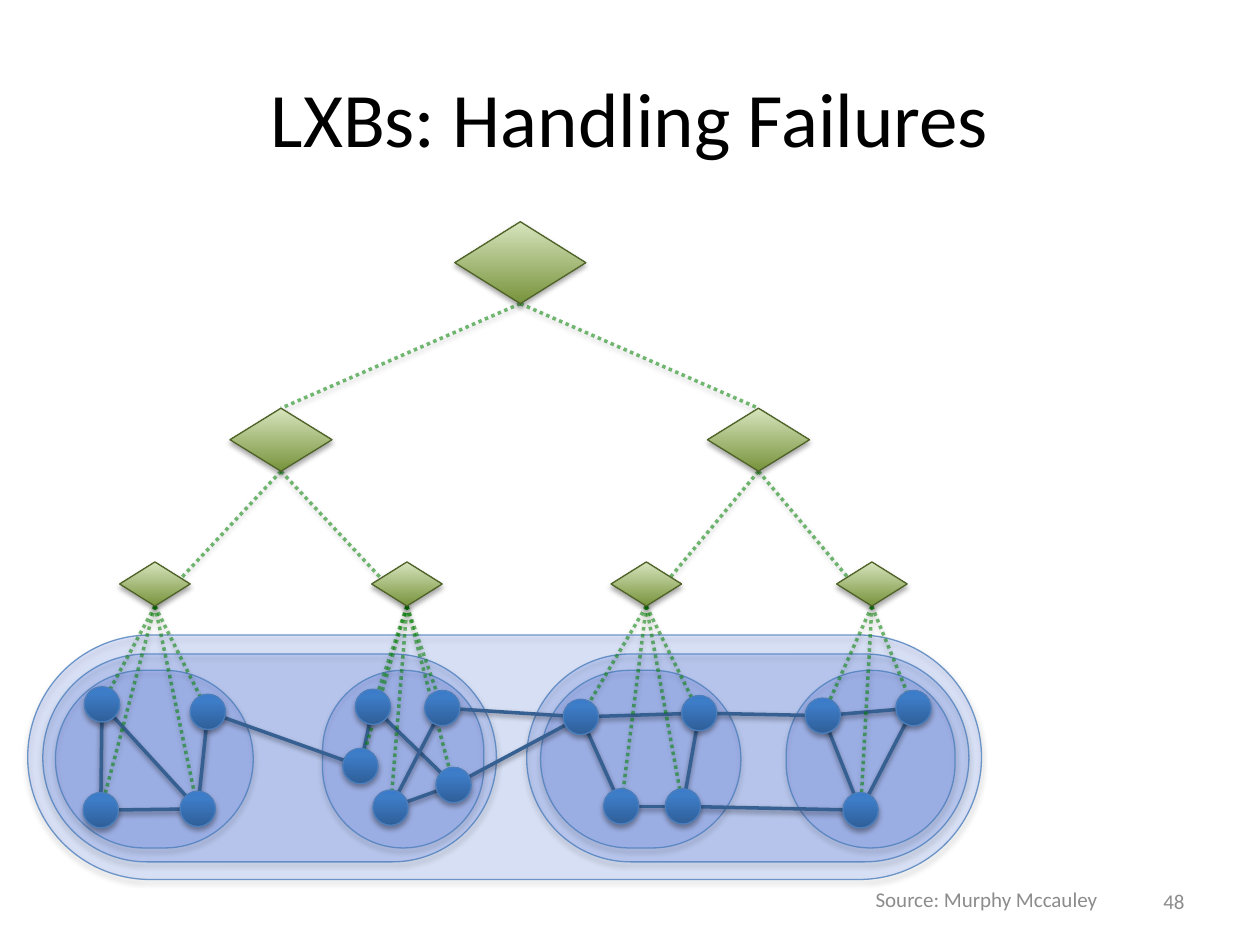
import copy

import lxml.etree
import pptx
import pptx.dml.color
import pptx.enum.dml
import pptx.enum.shapes
import pptx.enum.text
import pptx.oxml.ns
import pptx.util

Inches = pptx.util.Inches
Pt = pptx.util.Pt
RGBColor = pptx.dml.color.RGBColor
PP_ALIGN = pptx.enum.text.PP_ALIGN
MSO_SHAPE = pptx.enum.shapes.MSO_SHAPE
qn = pptx.oxml.ns.qn

BLACK = RGBColor(0x00, 0x00, 0x00)
GREY = RGBColor(0x8C, 0x8C, 0x8C)
REGION_FILL = RGBColor(0x33, 0x66, 0xFF)
BLUE_OUTLINE = RGBColor(0x4B, 0x7E, 0xBC)
MESH_LINE = RGBColor(0x37, 0x60, 0x92)
TREE_LINE = RGBColor(0x00, 0x80, 0x00)
GREEN_OUTLINE = RGBColor(0x4F, 0x62, 0x28)
GREEN_STOPS = [(0, RGBColor(0x77, 0x93, 0x3C)), (1, RGBColor(0xD7, 0xE4, 0xBD))]
NODE_STOPS = [(0, RGBColor(0x2F, 0x5F, 0x99)), (0.8, RGBColor(0x3D, 0x7C, 0xC7)),
              (1, RGBColor(0x3A, 0x7C, 0xCB))]

TOP, BOTTOM = 0, 2  # connection sites
NODE_SIZE = 0.28

# Left, top, width, height within the network box: whole, two domains, four clusters
REGIONS = [(0, 0, 7.57, 1.94), (0.12, 0.15, 3.6, 1.65), (3.96, 0.15, 3.51, 1.65),
           (0.22, 0.28, 1.57, 1.41), (2.34, 0.28, 1.28, 1.41),
           (4.07, 0.28, 1.59, 1.41), (6.02, 0.28, 1.34, 1.41)]
# Node centres within the network box; the letter names the cluster
NODES = {
    "A1": (0.59, 0.55), "A2": (1.43, 0.61), "A3": (0.58, 1.39), "A4": (1.35, 1.38),
    "B1": (2.74, 0.57), "B2": (3.29, 0.58), "B3": (2.64, 1.04), "B4": (2.88, 1.37),
    "B5": (3.38, 1.19),
    "C1": (4.39, 0.65), "C2": (5.33, 0.62), "C3": (4.71, 1.36), "C4": (5.2, 1.36),
    "D1": (6.31, 0.64), "D2": (7.03, 0.58), "D3": (6.61, 1.39),
}
MESH = ("A4-A2 A3-A4 A1-A3 A4-A1 A2-B3 B1-B3 B1-B5 B2-B4 B5-B4 B2-C1 B5-C1 "
        "C1-C3 C2-C4 C2-C1 C3-C4 C2-D1 D3-C4 D2-D1 D2-D3 D1-D3").split()
# Centre x and top within the tree box, then width and height
CONTROLLERS = {
    "root": (3.18, 0, 1.04, 0.65),
    "west": (1.28, 1.48, 0.81, 0.5), "east": (5.07, 1.48, 0.81, 0.5),
    "A": (0.28, 2.7, 0.56, 0.35), "B": (2.28, 2.7, 0.56, 0.35),
    "C": (4.18, 2.7, 0.56, 0.35), "D": (5.97, 2.7, 0.56, 0.35),
}
# Parent, child, site on the child
BRANCHES = [("root", "west", TOP), ("root", "east", TOP),
            ("west", "A", BOTTOM), ("west", "B", BOTTOM),
            ("east", "C", BOTTOM), ("east", "D", BOTTOM)]


def set_alpha(shape, steps, percent):
    """Make the colour under the given spPr children partly transparent."""
    element = shape.element.spPr
    for step in steps + ["a:solidFill", "a:srgbClr"]:
        element = element.find(qn(step))
    lxml.etree.SubElement(element, qn("a:alpha"), val=str(percent * 1000))


def add_shadow(shape, distance, percent):
    """Drop a soft black shadow below; call after fill and line are set."""
    effects = lxml.etree.SubElement(shape.element.spPr, qn("a:effectLst"))
    shadow = lxml.etree.SubElement(effects, qn("a:outerShdw"), blurRad=str(Pt(3.1)),
                                   dist=str(Pt(distance)), dir="5400000", rotWithShape="0")
    color = lxml.etree.SubElement(shadow, qn("a:srgbClr"), val=str(BLACK))
    lxml.etree.SubElement(color, qn("a:alpha"), val=str(percent * 1000))


def fill_gradient(shape, stops):
    """Fill upwards from the first stop to the last."""
    shape.fill.gradient()
    shape.fill.gradient_angle = 90
    stop_list = shape.element.spPr.find(qn("a:gradFill")).find(qn("a:gsLst"))
    for _ in stops[2:]:
        stop_list.append(copy.deepcopy(stop_list[-1]))
    for stop, (position, color) in zip(shape.fill.gradient_stops, stops):
        stop.position = position
        stop.color.rgb = color


def add_outlined(slide, kind, box, outline):
    shape = slide.shapes.add_shape(kind, *map(Inches, box))
    shape.line.color.rgb = outline
    shape.line.width = Pt(0.75)
    return shape


def add_link(group, start, end, color):
    link = group.shapes.add_connector(pptx.enum.shapes.MSO_CONNECTOR.STRAIGHT, *start, *end)
    link.line.color.rgb = color
    link.line.width = Pt(2)
    add_shadow(link, 1.6, 38)
    return link


def add_tree_link(group, start, end):
    link = add_link(group, start, end, TREE_LINE)
    link.line.dash_style = pptx.enum.dml.MSO_LINE.ROUND_DOT
    set_alpha(link, ["a:ln"], 54)
    return link


def site_point(shape, site):
    return shape.left + shape.width // 2, shape.top + (shape.height if site == BOTTOM else 0)


def center(shape):
    return shape.left + shape.width // 2, shape.top + shape.height // 2


def add_regions(slide, left, top):
    for x, y, width, height in REGIONS:
        region = add_outlined(slide, MSO_SHAPE.ROUNDED_RECTANGLE,
                              (left + x, top + y, width, height), BLUE_OUTLINE)
        region.adjustments[0] = 0.5
        region.fill.solid()
        region.fill.fore_color.rgb = REGION_FILL
        set_alpha(region, [], 14)
        set_alpha(region, ["a:ln"], 79)
        add_shadow(region, 1.8, 35)


def add_controllers(slide, left, top):
    controllers = {}
    for name, (x, y, width, height) in CONTROLLERS.items():
        diamond = add_outlined(slide, MSO_SHAPE.DIAMOND,
                               (left + x - width / 2, top + y, width, height), GREEN_OUTLINE)
        fill_gradient(diamond, GREEN_STOPS)
        add_shadow(diamond, 1.8, 35)
        controllers[name] = diamond
    return controllers


def add_nodes(slide, left, top):
    nodes = {}
    for name, (x, y) in NODES.items():
        box = (left + x - NODE_SIZE / 2, top + y - NODE_SIZE / 2, NODE_SIZE, NODE_SIZE)
        node = add_outlined(slide, MSO_SHAPE.ROUNDED_RECTANGLE, box, BLUE_OUTLINE)
        node.adjustments[0] = 0.5
        fill_gradient(node, NODE_STOPS)
        add_shadow(node, 1.8, 35)
        nodes[name] = node
    return nodes


def add_diagram(slide, tree_box, network_box):
    """Place the controller tree above the network; links lie behind their ends."""
    add_regions(slide, *network_box)
    mesh_group = slide.shapes.add_group_shape()
    tree_group = slide.shapes.add_group_shape()
    controllers = add_controllers(slide, *tree_box)
    nodes = add_nodes(slide, *network_box)

    for pair in MESH:
        first, second = pair.split("-")
        add_link(mesh_group, center(nodes[first]), center(nodes[second]), MESH_LINE)
    for parent_name, child_name, site in BRANCHES:
        parent, child = controllers[parent_name], controllers[child_name]
        link = add_tree_link(tree_group, site_point(parent, BOTTOM), site_point(child, site))
        link.begin_connect(parent, BOTTOM)
        link.end_connect(child, site)
    for name, node in nodes.items():
        controller = controllers[name[0]]
        link = add_tree_link(tree_group, site_point(controller, BOTTOM), center(node))
        link.begin_connect(controller, BOTTOM)


def add_text(slide, box, text, size, color, alignment):
    frame = slide.shapes.add_textbox(*map(Inches, box)).text_frame
    frame.word_wrap = True
    frame.vertical_anchor = pptx.enum.text.MSO_ANCHOR.MIDDLE
    paragraph = frame.paragraphs[0]
    paragraph.text = text
    paragraph.alignment = alignment
    paragraph.font.name = "Calibri"
    paragraph.font.size = Pt(size)
    paragraph.font.color.rgb = color


def main():
    presentation = pptx.Presentation()
    presentation.slide_width = Inches(10)
    presentation.slide_height = Inches(7.5)
    slide = presentation.slides.add_slide(presentation.slide_layouts[6])
    add_text(slide, (0.5, 0.3, 9, 1.25), "LXBs: Handling Failures", 44, BLACK, PP_ALIGN.CENTER)
    add_diagram(slide, tree_box=(0.95, 1.76), network_box=(0.22, 5.04))
    add_text(slide, (7.17, 6.95, 2.33, 0.4), "48", 12, GREY, PP_ALIGN.RIGHT)
    add_text(slide, (6.08, 6.92, 3.5, 0.43), "Source: Murphy Mccauley", 12, GREY, PP_ALIGN.CENTER)
    presentation.save("out.pptx")


if __name__ == "__main__":
    main()
